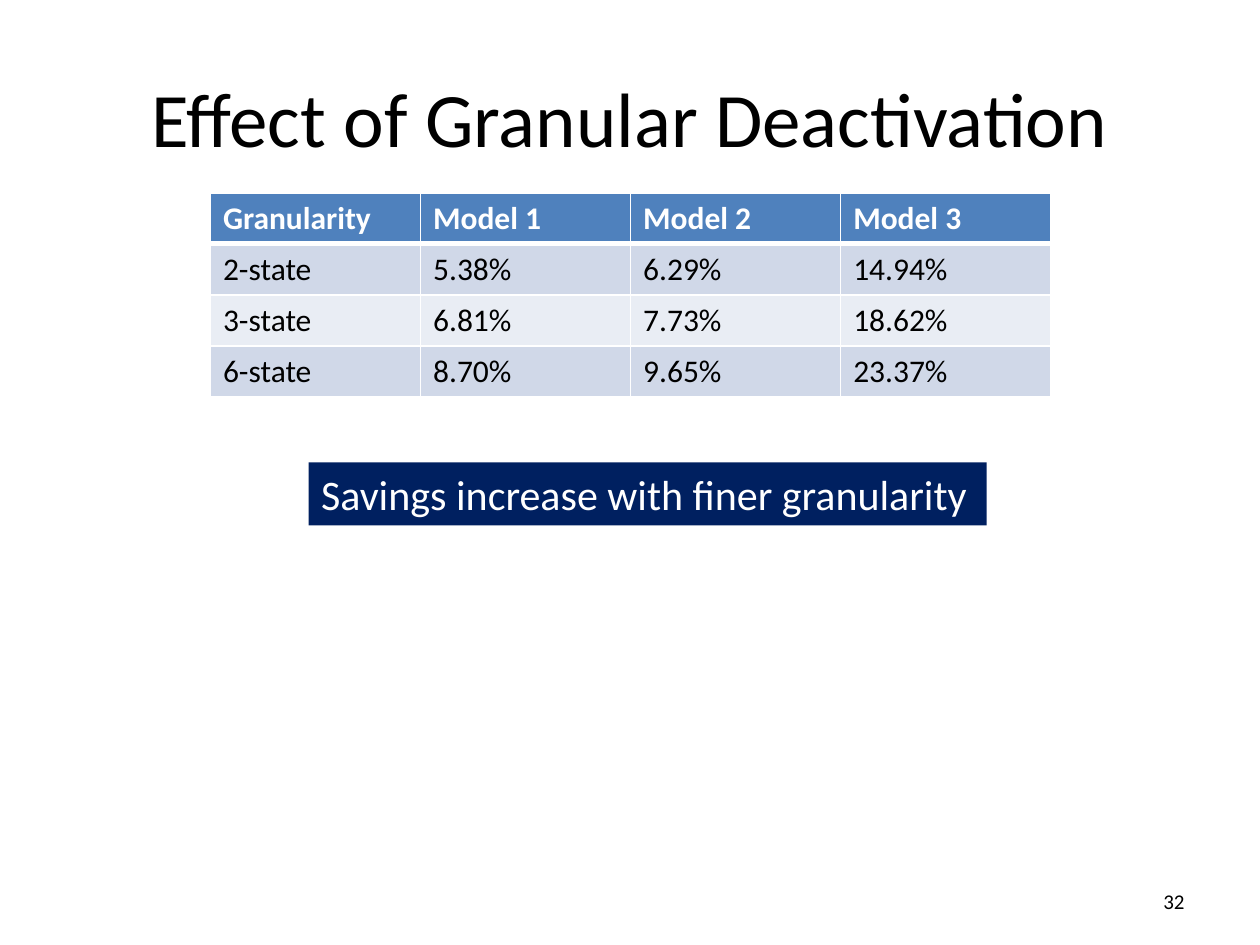
from lxml.etree import SubElement
from pptx import Presentation
from pptx.dml.color import RGBColor as RGB
from pptx.enum.shapes import MSO_SHAPE as SHAPE
from pptx.enum.text import MSO_ANCHOR as ANCHOR, MSO_AUTO_SIZE as AUTO, PP_ALIGN as ALIGN
from pptx.oxml.ns import qn
from pptx.util import Inches, Pt

COLORS = {
    "black": "000000",
    "white": "FFFFFF",
    "head": "4F81BD",
    "odd": "D0D8E8",
    "even": "E9EDF4",
    "navy": "002060",
}
ROWS = [
    ["Granularity", "Model 1", "Model 2", "Model 3"],
    ["2-state", "5.38%", "6.29%", "14.94%"],
    ["3-state", "6.81%", "7.73%", "18.62%"],
    ["6-state", "8.70%", "9.65%", "23.37%"],
]


def color(name):
    """Return the named color."""
    return RGB.from_string(COLORS[name])


def paint(item, name):
    """Fill a shape or cell with one color."""
    item.fill.solid()
    item.fill.fore_color.rgb = color(name)


def write(frame, text, size, ink="black", align=ALIGN.LEFT, bold=False):
    """Put one styled line in a text frame."""
    par = frame.paragraphs[0]
    par.alignment = align
    run = par.add_run()
    run.text = text
    form = {"name": "Calibri", "size": Pt(size), "bold": bold}
    for key, value in form.items():
        setattr(run.font, key, value)
    run.font.color.rgb = color(ink)


def label(slide, box, text, size, align):
    """Add a text box centered on its middle line."""
    frame = slide.shapes.add_textbox(*map(Inches, box)).text_frame
    frame.word_wrap = True
    frame.vertical_anchor = ANCHOR.MIDDLE
    write(frame, text, size, align=align)


def border(cell, top, base):
    """Draw white borders around a cell."""
    props = cell._tc.get_or_add_tcPr()
    for side, width in {"L": 1, "R": 1, "T": top, "B": base}.items():
        line = SubElement(props, qn(f"a:ln{side}"), w=str(Pt(width)))
        fill = SubElement(line, qn("a:solidFill"))
        SubElement(fill, qn("a:srgbClr"), val=COLORS["white"])


def grid(slide, box, rows):
    """Add the banded savings table."""
    shape = slide.shapes.add_table(len(rows), len(rows[0]), *map(Inches, box))
    for r, row in enumerate(rows):
        head = r == 0
        band = "head" if head else "odd" if r % 2 else "even"
        for c, text in enumerate(row):
            cell = shape.table.cell(r, c)
            border(cell, 3 if r == 1 else 1, 3 if head else 1)
            paint(cell, band)
            write(cell.text_frame, text, 18, "white" if head else "black", bold=head)


def banner(slide, box, text):
    """Add the filled box with the main finding."""
    shape = slide.shapes.add_shape(SHAPE.RECTANGLE, *map(Inches, box))
    shape.shadow.inherit = False
    paint(shape, "navy")
    shape.line.fill.background()
    frame = shape.text_frame
    form = {"word_wrap": False, "auto_size": AUTO.SHAPE_TO_FIT_TEXT, "vertical_anchor": ANCHOR.TOP}
    for key, value in form.items():
        setattr(frame, key, value)
    write(frame, text, 24, "white")


def main():
    """Build and save the slide."""
    deck = Presentation()
    deck.slide_width, deck.slide_height = Inches(10), Inches(7.5)
    slide = deck.slides.add_slide(deck.slide_layouts[6])
    label(slide, (0.5, 0.3, 9, 1.25), "Effect of Granular Deactivation", 44, ALIGN.CENTER)
    grid(slide, (1.67, 1.53, 6.67, 1.62), ROWS)
    label(slide, (7.17, 6.95, 2.33, 0.4), "32", 12, ALIGN.RIGHT)
    banner(slide, (2.45, 3.67, 5.38, 0.5), "Savings increase with finer granularity")
    deck.save("out.pptx")


if __name__ == "__main__":
    main()
